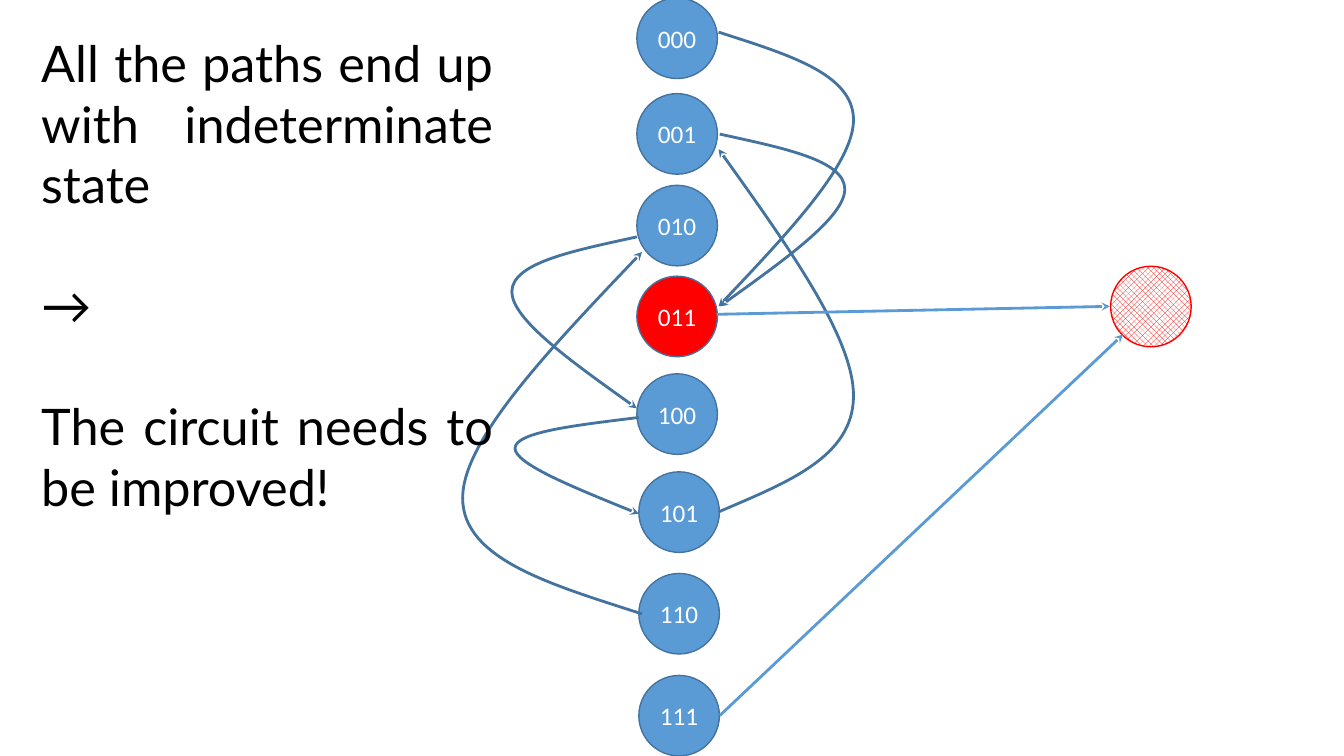
from lxml.etree import SubElement
from pptx import Presentation
from pptx.dml.color import RGBColor
from pptx.enum.dml import MSO_PATTERN as Pattern
from pptx.enum.shapes import MSO_CONNECTOR as Connector, MSO_SHAPE as Shape
from pptx.enum.text import MSO_ANCHOR as Anchor, MSO_AUTO_SIZE as AutoSize, PP_ALIGN as Align
from pptx.oxml.ns import qn
from pptx.util import Cm, Pt

BLUE, DARK_BLUE, RED, WHITE, BLACK = "5B9BD5", "43739E", "FF0000", "FFFFFF", "000000"
DIAMETER = 2.03

# Code, left and top of each state circle (cm)
STATES = [
    ("000", 16.05, -0.05), ("001", 16.05, 2.36), ("010", 16.05, 4.67), ("011", 16.05, 6.96),
    ("100", 16.05, 9.42), ("101", 16.1, 11.89), ("110", 16.1, 14.45), ("111", 16.1, 17.02),
]
INDETERMINATE = "011"

# Side x, start y, outermost x and end y of each curved transition (cm)
CURVED_TRANSITIONS = [
    (18.11, 0.81, 21.51, 7.72),
    (18.14, 3.38, 21.29, 7.72),
    (16.05, 5.97, 12.9, 10.29),
    (16.1, 10.52, 12.98, 12.95),
    (18.11, 12.9, 21.51, 3.76),
    (16.18, 15.47, 11.66, 6.35),
]
# Shares of the bulge and of the height for the points of two Bézier arcs
BULGE_POINTS = [(0.5, 0.08), (1, 0.15), (1, 0.32), (1, 0.48), (0.5, 0.74), (0, 1)]

STRAIGHT_TRANSITIONS = [
    (18.06, 7.92, 27.97, 7.72),
    (18.14, 18.03, 28.3, 8.43),
]
REMARKS = [
    "All the paths end up with indeterminate state",
    "→",
    "The circuit needs to be improved!",
]


def color(hex_code):
    return RGBColor.from_string(hex_code)


def set_line(line, hex_code, width):
    line.color.rgb = color(hex_code)
    line.width = Pt(width)


def add_arrowhead(arrow):
    outline = arrow.line._get_or_add_ln()
    SubElement(outline, qn("a:tailEnd"), type="stealth")


def add_run(paragraph, text, font_name, size, hex_code):
    run = paragraph.add_run()
    run.text = text
    run.font.name = font_name
    run.font.size = Pt(size)
    run.font.color.rgb = color(hex_code)


def add_circle(slide, left, top, line_color):
    circle = slide.shapes.add_shape(
        Shape.OVAL, Cm(left), Cm(top), Cm(DIAMETER), Cm(DIAMETER))
    circle.shadow.inherit = False
    set_line(circle.line, line_color, 1)
    return circle


def add_state(slide, code, left, top):
    state = add_circle(slide, left, top, DARK_BLUE)
    state.fill.solid()
    state.fill.fore_color.rgb = color(RED if code == INDETERMINATE else BLUE)
    frame = state.text_frame
    frame.margin_left = frame.margin_right = frame.margin_top = frame.margin_bottom = 0
    frame.vertical_anchor = Anchor.MIDDLE
    label = frame.paragraphs[0]
    label.alignment = Align.CENTER
    add_run(label, code, "Calibri", 18, WHITE)


def add_hatched_state(slide, left, top):
    fill = add_circle(slide, left, top, RED).fill
    fill.patterned()
    fill.pattern = Pattern.LARGE_CHECKER_BOARD
    fill.fore_color.rgb = color(RED)
    fill.back_color.rgb = color(WHITE)


def add_curved_transition(slide, side, start, bulge, end):
    points = [(Cm(side + (bulge - side) * across), Cm(start + (end - start) * along))
              for across, along in BULGE_POINTS]
    builder = slide.shapes.build_freeform(Cm(side), Cm(start))
    builder.add_line_segments(points, close=False)
    curve = builder.convert_to_shape()
    curve.shadow.inherit = False
    curve.fill.background()
    set_line(curve.line, DARK_BLUE, 2)
    add_arrowhead(curve)

    # Turn every three straight segments into one Bézier arc
    segments = curve._element.xpath(".//a:lnTo")
    outline = segments[0].getparent()
    for first in range(0, len(segments), 3):
        arc = SubElement(outline, qn("a:cubicBezTo"))
        for segment in segments[first:first + 3]:
            arc.append(segment[0])
            outline.remove(segment)


def add_straight_transition(slide, *ends):
    arrow = slide.shapes.add_connector(Connector.STRAIGHT, *map(Cm, ends))
    set_line(arrow.line, BLUE, 2)
    add_arrowhead(arrow)
    SubElement(arrow._element.spPr, qn("a:effectLst"))


def add_remarks(slide):
    box = slide.shapes.add_textbox(Cm(0.79), Cm(0.69), Cm(11.89), Cm(12.57))
    frame = box.text_frame
    frame.word_wrap = True
    frame.auto_size = AutoSize.SHAPE_TO_FIT_TEXT
    for index, remark in enumerate(REMARKS):
        paragraph = frame.add_paragraph() if index else frame.paragraphs[0]
        paragraph.alignment = Align.JUSTIFY
        if index:
            paragraph.space_before = Pt(43.2)
        add_run(paragraph, remark, "Lato", 36, BLACK)


def main():
    deck = Presentation()
    deck.slide_width, deck.slide_height = Cm(33.87), Cm(19.05)
    slide = deck.slides.add_slide(deck.slide_layouts[6])

    # States
    for state in STATES:
        add_state(slide, *state)
    add_hatched_state(slide, 27.99, 6.71)

    # Transitions
    for transition in CURVED_TRANSITIONS:
        add_curved_transition(slide, *transition)
    for transition in STRAIGHT_TRANSITIONS:
        add_straight_transition(slide, *transition)

    # Conclusion
    add_remarks(slide)
    deck.save("out.pptx")


if __name__ == "__main__":
    main()
